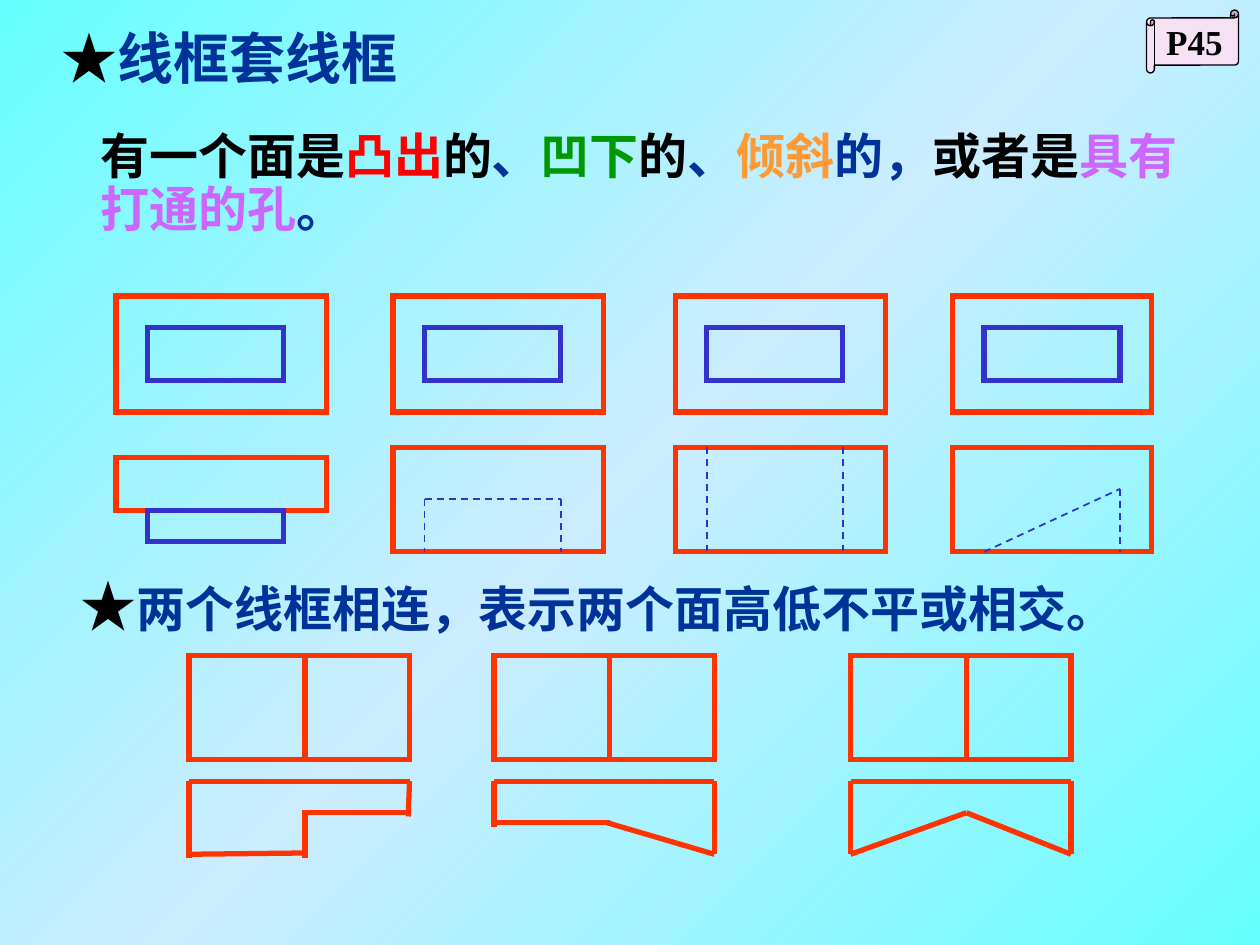
from copy import deepcopy

from lxml import etree
from pptx import Presentation
from pptx import util as u
from pptx.dml.color import RGBColor
from pptx.enum import dml, shapes, text
from pptx.oxml.ns import qn

RED, BLUE, NAVY, BLACK = "FF3300", "3333CC", "003399", "000000"
SERIF, CJK = "Times New Roman", "Noto Sans CJK SC"
INSET = 0.25  # inner frame from the outer frame's left and top
INNER_W = 1.08


def rgb(color):
    return RGBColor.from_string(color)


def inches(*values):
    return [u.Inches(v) for v in values]


def set_background(s):
    fill = s.background.fill
    fill.gradient()
    fill.gradient_angle = 315
    first = fill.gradient_stops[0]._gs
    first.addnext(deepcopy(first))
    for stop, pos, color in zip(fill.gradient_stops, (0, 0.5, 1),
                                ("66FFFF", "CCECFF", "66FFFF")):
        stop.position = pos
        stop.color.rgb = rgb(color)
        for tint in list(stop._gs[0]):
            stop._gs[0].remove(tint)


def frame(parent, x, y, w, h, color=RED):
    """Unfilled rectangle with sharp corners."""
    sp = parent.add_shape(shapes.MSO_SHAPE.RECTANGLE, *inches(x, y, w, h))
    sp.shadow.inherit = False
    sp.fill.background()
    sp.line.color.rgb = rgb(color)
    sp.line.width = u.Pt(3)
    etree.SubElement(sp.line._ln, qn("a:miter"), lim="800000")


def stroke(parent, x1, y1, x2, y2, color=RED, width=3, dashed=False):
    c = parent.add_connector(shapes.MSO_CONNECTOR.STRAIGHT,
                             *inches(x1, y1, x2, y2))
    c.line.color.rgb = rgb(color)
    c.line.width = u.Pt(width)
    if dashed:
        c.line.dash_style = dml.MSO_LINE.DASH
    etree.SubElement(c._element.spPr, qn("a:effectLst"))


def strokes(parent, x, y, segments, **style):
    """Draw segments given relative to the corner (x, y)."""
    for x1, y1, x2, y2 in segments:
        stroke(parent, x + x1, y + y1, x + x2, y + y2, **style)


def add_runs(tf, runs, font, size, anchor, wrap=True):
    """Fill a text frame with (text, color) or (text, color, size) runs."""
    tf.word_wrap = wrap
    tf.vertical_anchor = anchor
    p = tf.paragraphs[0]
    for words, color, *own_size in runs:
        r = p.add_run()
        r.text = words
        r.font.name = font
        r.font.size = u.Pt(own_size[0] if own_size else size)
        r.font.bold = True
        r.font.color.rgb = rgb(color)
        etree.SubElement(r.font._element, qn("a:ea"), typeface=CJK)
    return p


def text_box(s, box, runs, font, size, anchor=text.MSO_ANCHOR.MIDDLE, wrap=True):
    tf = s.shapes.add_textbox(*inches(*box)).text_frame
    p = add_runs(tf, runs, font, size, anchor, wrap)
    tf.auto_size = text.MSO_AUTO_SIZE.SHAPE_TO_FIT_TEXT
    return p


def page_scroll(s, box, label):
    sp = s.shapes.add_shape(shapes.MSO_SHAPE.HORIZONTAL_SCROLL, *inches(*box))
    sp.shadow.inherit = False
    sp.adjustments[0] = 0.125
    sp.fill.solid()
    sp.fill.fore_color.rgb = rgb("F7E1F5")
    sp.line.color.rgb = rgb(BLACK)
    sp.line.width = u.Pt(0.75)
    p = add_runs(sp.text_frame, [(label, BLACK)], SERIF, 20,
                 text.MSO_ANCHOR.MIDDLE, wrap=False)
    p.alignment = text.PP_ALIGN.CENTER


def nested_views(s, y, columns):
    g = s.shapes.add_group_shape().shapes
    for x, w in columns:
        frame(g, x, y, w, 0.92)
        frame(g, x + INSET, y + INSET, INNER_W, 0.42, BLUE)


def section_views(s, y, columns):
    """Raised block, then the hidden edges of a recess, a hole and a slope."""
    g = s.shapes.add_group_shape().shapes
    h = 0.83
    (x, w), *hollow = columns
    frame(g, x, y + 0.08, w, 0.42)
    frame(g, x + INSET, y + 0.5, INNER_W, 0.25, BLUE)
    hidden_edges = [
        [(0, 0.41, INNER_W, 0.41), (INNER_W, 0.41, INNER_W, h), (0, 0.41, 0, h)],
        [(0, 0, 0, h), (INNER_W, 0, INNER_W, h)],
        [(0, h, INNER_W, 0.33), (INNER_W, 0.33, INNER_W, h)],
    ]
    for (x, w), edges in zip(hollow, hidden_edges):
        frame(g, x, y, w, h)
        strokes(g, x + INSET, y, edges, color=BLUE, width=1, dashed=True)


def split_views(s, y, lefts, w, split):
    g = s.shapes.add_group_shape().shapes
    for x in lefts:
        frame(g, x, y, w, 0.83)
        stroke(g, x + split, y, x + split, y + 0.83)


def profile_views(s, y, lefts, w, split):
    """Stepped, sloping and notched profiles under a common top edge."""
    g = s.shapes.add_group_shape().shapes
    low = 0.58
    profiles = [
        [(0, 0, 0, 0.61), (0, low, split, 0.57), (split, 0.61, split, 0.23),
         (split, 0.25, w, 0.25), (w, 0, w - 0.01, 0.28)],
        [(0, 0, 0, 0.36), (0, 0.33, split, 0.33), (split - 0.02, 0.33, w, low),
         (w, 0, w, low)],
        [(0, 0, 0, low), (0, low, split, 0.25), (split, 0.25, w, low),
         (w, 0, w, low)],
    ]
    for x, edges in zip(lefts, profiles):
        strokes(g, x, y, [(0, 0, w, 0)] + edges)


def main():
    prs = Presentation()
    prs.slide_width, prs.slide_height = inches(10, 7.5)
    s = prs.slides.add_slide(prs.slide_layouts[6])
    set_background(s)

    columns = [(0.92, 1.67), (3.12, 1.67), (5.36, 1.67), (7.56, 1.58)]
    nested_views(s, 2.35, columns)
    section_views(s, 3.55, columns)
    lefts = [1.5, 3.92, 6.75]
    split_views(s, 5.2, lefts, 1.75, 0.92)
    profile_views(s, 6.2, lefts, 1.75, 0.92)

    p = text_box(s, (0.7, 1, 8.8, 0.94), [
        ("有一个面是", BLACK), ("凸出", "FF0000"), ("的", BLACK), ("、", NAVY),
        ("凹下", "009900"), ("的", BLACK), ("、", NAVY), ("倾斜", "FF9933"),
        ("的，", NAVY), ("或者是", BLACK), ("具有打通的孔", "CC66FF"),
        ("。", NAVY)], SERIF, 28)
    p.line_spacing = 0.9
    text_box(s, (0.54, 4.48, 8.43, 0.64), [
        ("★", BLACK, 32), ("两个线框相连，表示两个面高低不平或相交。", NAVY)],
        CJK, 28, wrap=False)
    text_box(s, (0.39, 0.14, 4.86, 0.64), [
        ("★", BLACK), ("线框套线框", NAVY)], SERIF, 32, text.MSO_ANCHOR.TOP)
    page_scroll(s, (9.1, 0.08, 0.73, 0.5), "P45")
    prs.save("out.pptx")


if __name__ == "__main__":
    main()
